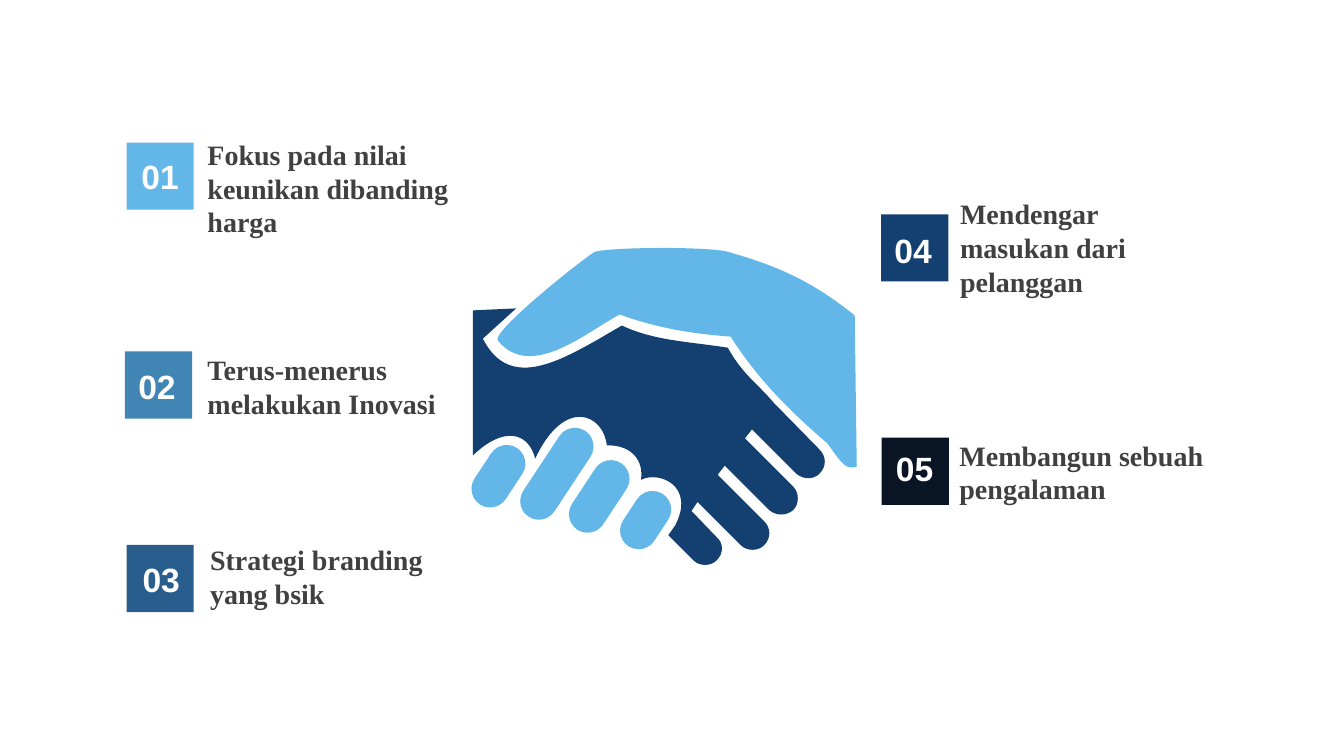
"""Build a slide with a handshake and five numbered points."""
from lxml.etree import SubElement as Sub
from pptx import Presentation
from pptx.dml.color import RGBColor
from pptx.enum.shapes import MSO_SHAPE as Kind
from pptx.enum.text import MSO_ANCHOR as Anchor, MSO_AUTO_SIZE as Fit, PP_ALIGN as Align
from pptx.oxml.ns import qn
from pptx.util import Inches, Pt

CELL = Inches(0.01)
COLS, ROWS = 1333.33, 750
SIDE = 66.7
HUES = {"sky": "62B7E8", "steel": "4185B5", "blue": "285D8D", "navy": "134070",
        "night": "091424", "grey": "404040", "white": "FFFFFF"}

CUFF_BOX = (493, 246, 357, 218)
CUFF = [(615, 312), (582, 329, 527, 378, 494, 338), (486, 330, 578, 257, 590, 250),
        (603, 245, 712, 244, 726, 251), (779, 266, 812, 284, 848, 313), (850, 463),
        (839, 466, 836, 461, 821, 440), (779, 404, 749, 372, 725, 334),
        (685, 331, 650, 325, 615, 312)]
HAND_BOX = (469, 306, 345, 250)
HAND = [(512, 306), (479, 336), (507, 391, 560, 356, 617, 323),
        (648, 338, 684, 339, 722, 345), (737, 372, 752, 381, 767, 399), (813, 446),
        (820, 453, 820, 463, 813, 470), (807, 476, 797, 476, 790, 470),
        (746, 426), (739, 435), (787, 483),
        (793, 489, 793, 500, 787, 506), (780, 512, 770, 512, 763, 506),
        (719, 462), (712, 471), (758, 517),
        (765, 524, 765, 534, 758, 541), (752, 547, 741, 547, 735, 541),
        (692, 498), (686, 507), (711, 533),
        (718, 539, 718, 549, 711, 556), (705, 562, 694, 562, 688, 556),
        (665, 533), (663, 531), (670, 521), (690, 482, 654, 467, 636, 476),
        (639, 451, 620, 441, 602, 442), (599, 411, 560, 393, 531, 455),
        (524, 428, 499, 423, 469, 452), (469, 308), (512, 306)]
NAILS = [(476, 439, 67), (534, 419, 102), (576, 453, 79), (622, 485, 62)]
ITEMS = [
    ("01", "sky", (125.6, 141.4), (125.6, 150), (196, 131.6, 273, 111),
     "Fokus pada nilai keunikan dibanding harga"),
    ("02", "steel", (124, 348.7), (122.4, 358), (196, 345, 304, 77),
     "Terus-menerus melakukan Inovasi"),
    ("03", "blue", (125.6, 540.6), (126.6, 549), (198.6, 533.4, 239, 77),
     "Strategi branding yang bsik"),
    ("04", "navy", (874.3, 212.6), (872.6, 223), (942.6, 190.4, 225, 111),
     "Mendengar masukan dari pelanggan"),
    ("05", "night", (874.7, 434.2), (874, 439), (942, 430, 266, 77),
     "Membangun sebuah pengalaman"),
]


def grid(*cells):
    """Turn grid cells into slide lengths."""
    return [round(cell * CELL) for cell in cells]


def tint(hue):
    """Look up a colour by name."""
    return RGBColor.from_string(HUES[hue])


def paint(shape, hue):
    """Give a shape a flat fill with no line or shadow."""
    shape.shadow.inherit = False
    shape.fill.solid()
    shape.fill.fore_color.rgb = tint(hue)
    shape.line.fill.background()


def trace(path, parts, left, top):
    """Write lines and curves into a path."""
    for child in list(path):
        path.remove(child)
    for spot, part in enumerate(parts):
        tag = "a:cubicBezTo" if len(part) == 6 else "a:lnTo" if spot else "a:moveTo"
        step = Sub(path, qn(tag))
        for x, y in zip(part[::2], part[1::2]):
            across, down = grid(x - left, y - top)
            Sub(step, qn("a:pt"), x=str(across), y=str(down))
    Sub(path, qn("a:close"))


def outline(home, parts, box, hue):
    """Draw a closed outline of lines and curves."""
    left, top, wide, tall = box
    pen = home.build_freeform(*grid(left, top))
    pen.add_line_segments([grid(left + wide, top), grid(left + wide, top + tall),
                           grid(left, top + tall)], close=True)
    shape = pen.convert_to_shape()
    trace(shape._element.xpath(".//a:path")[0], parts, left, top)
    paint(shape, hue)


def block(home, kind, box, hue):
    """Draw a filled preset shape."""
    shape = home.add_shape(kind, *grid(*box))
    paint(shape, hue)
    return shape


def finger(home, left, top, tall):
    """Draw one tilted round finger."""
    shape = block(home, Kind.ROUNDED_RECTANGLE, (left, top, 37, tall), "sky")
    shape.adjustments[0] = 0.5
    shape.rotation = 33.4


def label(home, text, box, face, size, hue, align=Align.LEFT, anchor=Anchor.TOP):
    """Write a bold text box."""
    frame = home.add_textbox(*grid(*box)).text_frame
    frame.word_wrap = True
    frame.auto_size = Fit.SHAPE_TO_FIT_TEXT
    frame.vertical_anchor = anchor
    frame.text = text
    para = frame.paragraphs[0]
    para.alignment = align
    font = para.runs[0].font
    font.name, font.size, font.bold = face, Pt(size), True
    font.color.rgb = tint(hue)


def point(home, num, hue, spot, mark, box, text):
    """Draw a numbered square with its text."""
    block(home, Kind.RECTANGLE, (*spot, SIDE, SIDE), hue)
    label(home, num, (*mark, SIDE, 50), "Arial", 24, "white", Align.CENTER, Anchor.MIDDLE)
    label(home, text, box, "Times New Roman", 20, "grey")


def main():
    """Build and save the slide."""
    deck = Presentation()
    deck.slide_width, deck.slide_height = grid(COLS, ROWS)
    slide = deck.slides.add_slide(deck.slide_layouts[6])
    shake = slide.shapes.add_group_shape().shapes
    outline(shake, CUFF, CUFF_BOX, "sky")
    for nail in NAILS:
        finger(shake, *nail)
    outline(shake, HAND, HAND_BOX, "navy")
    points = slide.shapes.add_group_shape().shapes
    for item in ITEMS:
        point(points, *item)
    deck.save("out.pptx")


if __name__ == "__main__":
    main()
